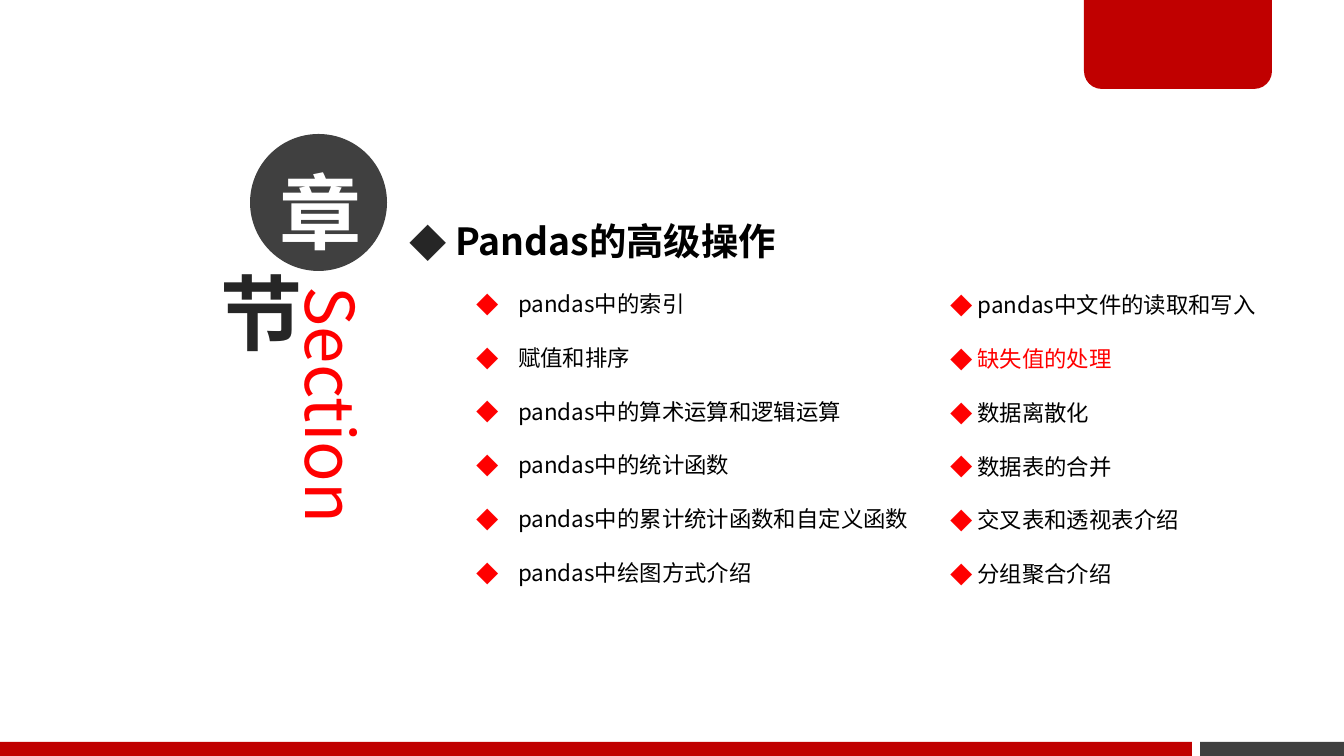
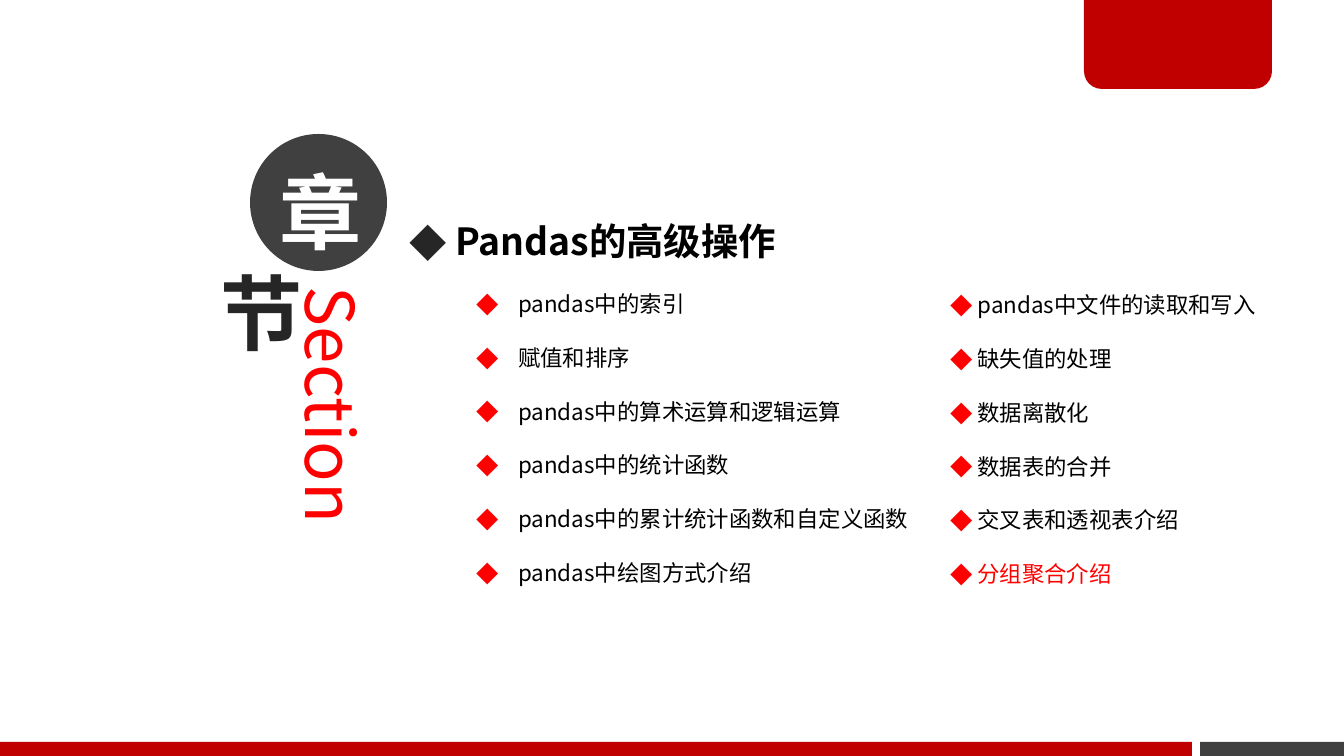
from typing import NamedTuple, Optional

from lxml import etree
from pptx import Presentation
from pptx.dml.color import RGBColor
from pptx.enum import shapes, text
from pptx.oxml.ns import qn
from pptx.util import Emu, Pt

EMU_PER_PX = 9144000 / 1344
FONT = "Noto Sans CJK SC"
COLORS = {
    "band": "C00000",
    "dark": "404040",
    "ink": "262626",
    "accent": "FF0000",
    "body": "000000",
    "white": "FFFFFF",
}


class Box(NamedTuple):
    left: int
    top: int
    width: int
    height: int


class Insets(NamedTuple):
    left: int = 9
    top: int = 5
    right: int = 9
    bottom: int = 5


class Band(NamedTuple):
    kind: shapes.MSO_SHAPE
    box: Box
    color: str


class Style(NamedTuple):
    size: int
    color: str
    bold: bool = False


class Badge(NamedTuple):
    character: str
    box: Box
    color: str
    insets: Insets
    fill: Optional[str] = None
    leading: Optional[int] = None
    outlined: bool = False


class Bullet(NamedTuple):
    margin: int
    indent: int
    color: str
    level: int = 1


class Entry(NamedTuple):
    wording: str
    style: Style
    bullet: Bullet


BANDS = (
    Band(shapes.MSO_SHAPE.RECTANGLE, Box(1200, 742, 144, 14), "dark"),
    Band(shapes.MSO_SHAPE.ROUND_2_SAME_RECTANGLE, Box(1084, 0, 188, 89), "band"),
    Band(shapes.MSO_SHAPE.RECTANGLE, Box(0, 742, 1192, 14), "band"),
)
BADGES = (
    Badge("章", Box(250, 134, 137, 137), "white", Insets(bottom=20), fill="dark", leading=70),
    Badge("节", Box(196, 258, 108, 108), "ink", Insets(), outlined=True),
)
SECTION_BOX = Box(288, 282, 94, 388)
LEFT_BOX = Box(396, 167, 550, 422)
RIGHT_BOX = Box(870, 258, 450, 331)
CHAPTER_BULLET = Bullet(26, -26, "ink", level=0)
LEFT_BULLET = Bullet(109, -42, "accent")
RIGHT_BULLET = Bullet(67, 0, "accent")
CHAPTER = Entry(" Pandas的高级操作", Style(20, "body", bold=True), CHAPTER_BULLET)
LEFT_TOPICS = (
    "pandas中的索引",
    "赋值和排序",
    "pandas中的算术运算和逻辑运算",
    "pandas中的统计函数",
    "pandas中的累计统计函数和自定义函数",
    "pandas中绘图方式介绍",
)
RIGHT_TOPICS = (
    "pandas中文件的读取和写入",
    "缺失值的处理",
    "数据离散化",
    "数据表的合并",
    "交叉表和透视表介绍",
    "分组聚合介绍",
)
CURRENT_TOPICS = ("缺失值的处理", "分组聚合介绍")


def px(length: int) -> Emu:
    return Emu(round(length * EMU_PER_PX))


def rgb(color: str) -> RGBColor:
    return RGBColor.from_string(COLORS[color])


def place(box: Box) -> tuple:
    return tuple(px(length) for length in box)


def add_figure(slide, kind: shapes.MSO_SHAPE, box: Box, fill: Optional[str]):
    figure = slide.shapes.add_shape(kind, *place(box))
    figure.shadow.inherit = False
    figure.line.fill.background()
    if fill:
        figure.fill.solid()
        figure.fill.fore_color.rgb = rgb(fill)
    else:
        figure.fill.background()
    return figure


def add_run(paragraph, wording: str, style: Style):
    run = paragraph.add_run()
    run.text = wording
    run.font.size = Pt(style.size)
    run.font.bold = style.bold
    run.font.color.rgb = rgb(style.color)
    run.font.name = FONT
    etree.SubElement(run.font._element, qn("a:ea"), typeface=FONT)
    return run


def outline_run(run, color: str) -> None:
    outline = etree.Element(qn("a:ln"), w=str(Pt(0.25)))
    fill = etree.SubElement(outline, qn("a:solidFill"))
    etree.SubElement(fill, qn("a:srgbClr"), val=COLORS[color])
    run.font._element.insert(0, outline)


def set_insets(frame, insets: Insets) -> None:
    frame.margin_left = px(insets.left)
    frame.margin_top = px(insets.top)
    frame.margin_right = px(insets.right)
    frame.margin_bottom = px(insets.bottom)


def set_bullet(paragraph, bullet: Bullet) -> None:
    paragraph.level = bullet.level
    paragraph.line_spacing = 2.0
    properties = paragraph._p.get_or_add_pPr()
    properties.set("marL", str(px(bullet.margin)))
    properties.set("indent", str(px(bullet.indent)))
    color = etree.SubElement(properties, qn("a:buClr"))
    etree.SubElement(color, qn("a:srgbClr"), val=COLORS[bullet.color])
    etree.SubElement(properties, qn("a:buFont"), typeface=FONT)
    etree.SubElement(properties, qn("a:buChar"), char="◆")


def draw_band(slide, band: Band) -> None:
    figure = add_figure(slide, band.kind, band.box, band.color)
    if band.kind == shapes.MSO_SHAPE.ROUND_2_SAME_RECTANGLE:
        figure.adjustments[0] = 0
        figure.adjustments[1] = 0.2


def draw_badge(slide, badge: Badge) -> None:
    circle = add_figure(slide, shapes.MSO_SHAPE.OVAL, badge.box, badge.fill)
    frame = circle.text_frame
    frame.vertical_anchor = text.MSO_ANCHOR.MIDDLE
    set_insets(frame, badge.insets)
    paragraph = frame.paragraphs[0]
    paragraph.alignment = text.PP_ALIGN.CENTER
    if badge.leading:
        paragraph.line_spacing = Pt(badge.leading)
    run = add_run(paragraph, badge.character, Style(44, badge.color, bold=True))
    if badge.outlined:
        outline_run(run, "white")


def draw_section_label(slide) -> None:
    frame = slide.shapes.add_textbox(*place(SECTION_BOX)).text_frame
    frame.word_wrap = True
    set_insets(frame, Insets())
    frame._txBody.bodyPr.set("vert", "vert")
    add_run(frame.paragraphs[0], "Section", Style(36, "accent"))


def draw_entries(slide, box: Box, entries: list[Entry]) -> None:
    frame = slide.shapes.add_textbox(*place(box)).text_frame
    frame.word_wrap = True
    frame.auto_size = text.MSO_AUTO_SIZE.SHAPE_TO_FIT_TEXT
    for index, entry in enumerate(entries):
        paragraph = frame.add_paragraph() if index else frame.paragraphs[0]
        set_bullet(paragraph, entry.bullet)
        add_run(paragraph, entry.wording, entry.style)


def draw_section_slide(deck, current: str) -> None:
    slide = deck.slides.add_slide(deck.slide_layouts[6])
    for band in BANDS:
        draw_band(slide, band)
    draw_section_label(slide)
    for badge in BADGES:
        draw_badge(slide, badge)
    plain, marked = Style(12, "body"), Style(12, "accent")
    left = [Entry(topic, plain, LEFT_BULLET) for topic in LEFT_TOPICS]
    right = [
        Entry(f" {topic}", marked if topic == current else plain, RIGHT_BULLET)
        for topic in RIGHT_TOPICS
    ]
    draw_entries(slide, LEFT_BOX, [CHAPTER, *left])
    draw_entries(slide, RIGHT_BOX, right)


def main() -> None:
    deck = Presentation()
    deck.slide_width, deck.slide_height = px(1344), px(756)
    for current in CURRENT_TOPICS:
        draw_section_slide(deck, current)
    deck.save("out.pptx")


if __name__ == "__main__":
    main()
